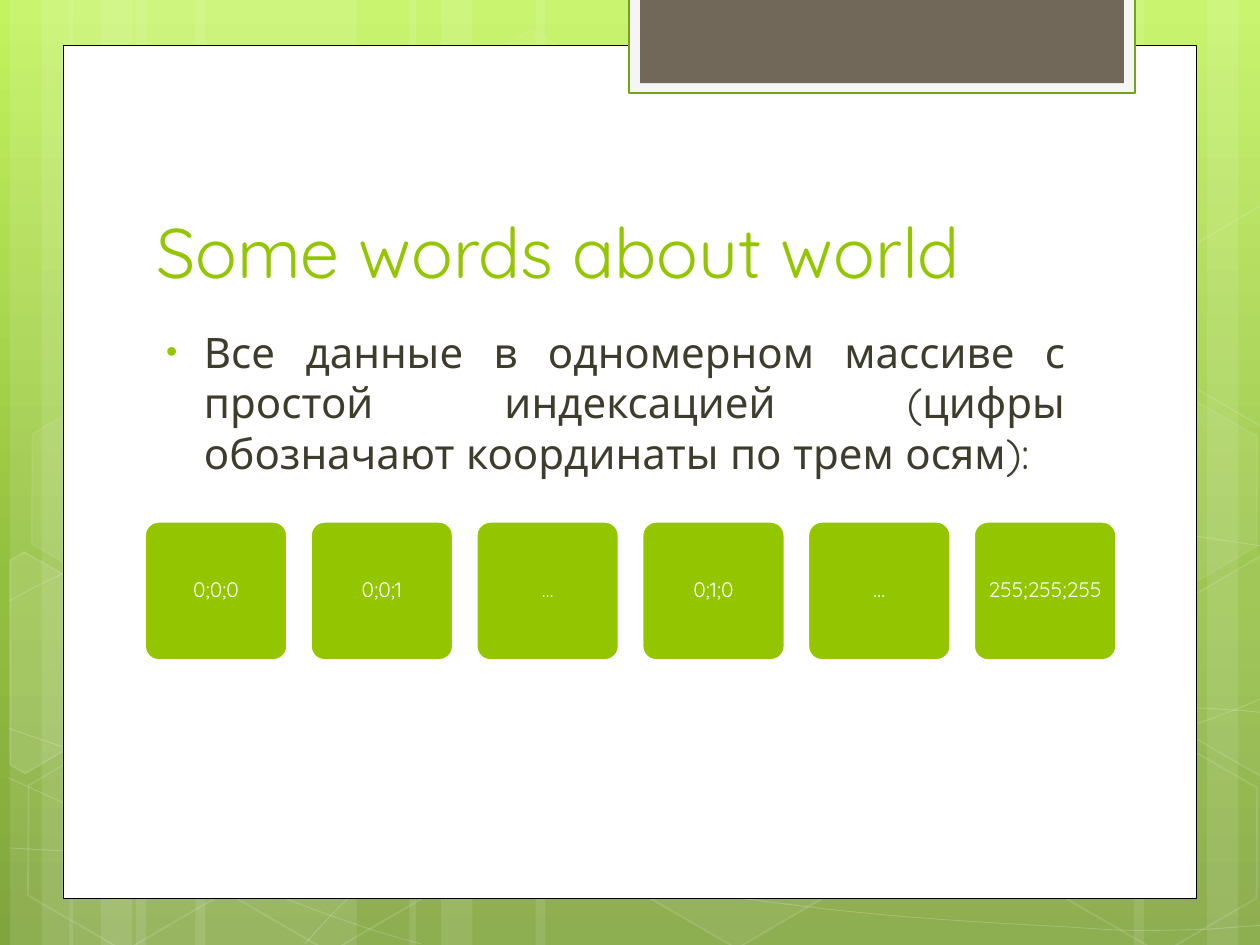
from lxml import etree
from pptx import Presentation
from pptx.dml.color import RGBColor
from pptx.enum.shapes import MSO_SHAPE
from pptx.enum.text import MSO_ANCHOR, PP_ALIGN
from pptx.oxml.ns import qn
from pptx.util import Inches, Pt

RECT = MSO_SHAPE.RECTANGLE
ROUND = MSO_SHAPE.ROUNDED_RECTANGLE
HEX = MSO_SHAPE.HEXAGON
MIDDLE = MSO_ANCHOR.MIDDLE
BOTTOM = MSO_ANCHOR.BOTTOM
LEFT = PP_ALIGN.LEFT
CENTER = PP_ALIGN.CENTER
JUSTIFY = PP_ALIGN.JUSTIFY
FONT = "Quicksand"
GREEN = "94C600"
WHITE = "FFFFFF"

SKY = [(0, "C3F35F"), (62, "93BF3F"), (100, "81A53E")]
STRIPES = [(1.08, 1.75), (0.08, 0.5), (0.33, 0.83), (1.55, 1.75),
           (0.55, 0.5), (0.8, 0.83), (7.33, 1.75), (9.58, 0.5),
           (9, 0.83), (4.25, 3.08), (3.25, 0.5), (3.5, 0.83)]
CURVES = [
    [(0.07, 6.73), (0.61, 6.76), (1.15, 6.79), (1.9, 6.78), (2.65, 6.77),
     (3.58, 6.75), (4.58, 6.65), (5.58, 6.55), (7, 6.36), (7.92, 6.17),
     (8.83, 5.98), (9.77, 5.68), (10.07, 5.51)],
    [(0.07, 4.77), (0.36, 4.61), (0.65, 4.46), (1.21, 4.31), (1.78, 4.16),
     (2.59, 3.94), (3.47, 3.87), (4.36, 3.8), (5.44, 3.79), (6.54, 3.87),
     (7.64, 3.95), (9.47, 4.26), (10.07, 4.34)],
    [(0.06, 6.17), (1.27, 6.72), (2.47, 7.27), (3.34, 7.49)],
    [(0.07, 5.78), (0.38, 5.89), (0.7, 6), (1.28, 6.16), (1.86, 6.31),
     (2.73, 6.56), (3.57, 6.73), (4.4, 6.9), (5.45, 7.08), (6.28, 7.18),
     (7.11, 7.29), (8, 7.33), (8.53, 7.36), (9.05, 7.4), (9.19, 7.38),
     (9.45, 7.38), (9.71, 7.37), (9.89, 7.35), (10.07, 7.34)],
    [(2.42, 7.49), (2.6, 7.29), (2.78, 7.09), (3.02, 6.91), (3.26, 6.73),
     (3.6, 6.53), (3.88, 6.39), (4.16, 6.25), (4.33, 6.19), (4.7, 6.09),
     (5.06, 5.99), (5.73, 5.85), (6.08, 5.78), (6.44, 5.71), (6.49, 5.71),
     (6.8, 5.69), (7.11, 5.66), (7.6, 5.63), (7.94, 5.62), (8.29, 5.61),
     (8.86, 5.62), (8.86, 5.62), (9.08, 5.62), (9.31, 5.62), (9.53, 5.62),
     (9.71, 5.63), (9.88, 5.64), (9.97, 5.65), (10.06, 5.66),
     (10.03, 5.65), (10.06, 5.66)],
]
HEXES = [(3.34, 0.36, 4, 8), (4.97, 5.89, 6, 12), (0.11, 5.91, 0, 12),
         (0.14, 3.12, 7, 8), (1.74, 5.92, 0, 12), (7.53, 4.53, 10, 12),
         (8.34, 5.93, 0, 12), (8.34, 3.14, 7, 8)]
CUTS = [
    ([(0.08, 4.45), (0.19, 4.38), (0.96, 4.82), (0.95, 5.7), (0.2, 6.14),
      (0.08, 6.07)], 10),
    ([(9.26, 4.85), (10.01, 4.41), (10.09, 4.46), (10.09, 6.13),
      (10.02, 6.17), (9.26, 5.73)], 4),
    ([(9.26, 2.07), (10.01, 1.63), (10.1, 1.68), (10.09, 3.35),
      (10.02, 3.39), (9.26, 2.95)], 0),
]
CELLS = ["0;0;0", "0;0;1", "…", "0;1;0", "…", "255;255;255"]
BODY = ("Все данные в одномерном массиве с простой индексацией "
        "(цифры обозначают координаты по трем осям):")


def color(code):
    return RGBColor.from_string(code)


def paint(fill, code, alpha=100):
    if not alpha:
        fill.background()
        return
    fill.solid()
    fill.fore_color.rgb = color(code)
    if alpha < 100:
        node = fill._xPr.find(qn("a:solidFill"))[0]
        etree.SubElement(node, qn("a:alpha"), val=str(alpha * 1000))


def style(shape, fill, alpha=100, line=None, width=1, fade=100):
    shape.shadow.inherit = False
    paint(shape.fill, fill, alpha)
    if line:
        shape.line.width = Pt(width)
        paint(shape.line.fill, line, fade)
    else:
        shape.line.fill.background()


def add_box(slide, kind, x, y, w, h, fill, **look):
    box = slide.shapes.add_shape(kind, Inches(x), Inches(y),
                                 Inches(w), Inches(h))
    style(box, fill, **look)
    return box


def add_path(slide, points, close, **look):
    spots = [(Inches(x), Inches(y)) for x, y in points]
    pen = slide.shapes.build_freeform(*spots[0])
    pen.add_line_segments(spots[1:], close=close)
    shape = pen.convert_to_shape()
    style(shape, WHITE, line=WHITE, **look)
    return shape


def bend(shape):
    lines = list(shape._element.iter(qn("a:lnTo")))
    for i in range(0, len(lines), 3):
        curve = etree.Element(qn("a:cubicBezTo"))
        lines[i].addprevious(curve)
        for line in lines[i:i + 3]:
            curve.append(line[0])
            line.getparent().remove(line)


def write(frame, text, size, code, align):
    frame.text = text
    frame.word_wrap = True
    para = frame.paragraphs[0]
    para.alignment = align
    font = para.runs[0].font
    font.name = FONT
    font.size = Pt(size)
    font.color.rgb = color(code)
    return para


def add_sky(slide):
    fill = slide.background.fill
    fill.gradient()
    fill.gradient_angle = 270
    stops = slide.background._cSld.find(".//" + qn("a:gsLst"))
    for stop in list(stops):
        stops.remove(stop)
    for spot, code in SKY:
        stop = etree.SubElement(stops, qn("a:gs"), pos=str(spot * 1000))
        etree.SubElement(stop, qn("a:srgbClr"), val=code)


def add_scene(slide):
    for x, w in STRIPES:
        add_box(slide, RECT, x, 0, w, 7.5, WHITE, alpha=10)
    for points in CURVES:
        bend(add_path(slide, points, False, alpha=0, width=0.5, fade=20))
    for x, y, alpha, fade in HEXES:
        cell = add_box(slide, HEX, x, y, 1.75, 1.52, WHITE,
                       alpha=alpha, line=WHITE, fade=fade)
        cell.adjustments[0] = 0.285
        cell.rotation = 30
    for points, alpha in CUTS:
        add_path(slide, points, True, alpha=alpha, fade=12)


def add_frame(slide):
    add_box(slide, RECT, 0.5, 0.36, 9, 6.77, WHITE, line="000000", width=0.5)
    add_box(slide, RECT, 4.99, -0.02, 4.02, 0.76, "F5F5F5",
            line="74A510", width=1.25)
    add_box(slide, RECT, 5.08, -0.02, 3.84, 0.68, "71685A")


def set_title(slide):
    title = slide.shapes.title
    title.left, title.top = Inches(1.14), Inches(1.12)
    title.width, title.height = Inches(7.68), Inches(1.25)
    write(title.text_frame, "Some words about world", 40, GREEN, LEFT)
    title.text_frame.vertical_anchor = BOTTOM
    slide.shapes._spTree.append(title._element)


def add_body(slide):
    box = slide.shapes.add_textbox(Inches(1.14), Inches(2.54),
                                   Inches(7.41), Inches(3.84))
    para = write(box.text_frame, BODY, 24, "3E3D2D", JUSTIFY)
    para.space_before = Pt(4.8)
    props = para._p.get_or_add_pPr()
    props.set("marL", str(Inches(0.38)))
    props.set("indent", str(Inches(-0.3)))
    tint = etree.SubElement(props, qn("a:buClr"))
    etree.SubElement(tint, qn("a:srgbClr"), val=GREEN)
    etree.SubElement(props, qn("a:buSzPct"), val="76000")
    etree.SubElement(props, qn("a:buFont"), typeface="Arial")
    etree.SubElement(props, qn("a:buChar"), char="•")


def add_cells(slide):
    for i, text in enumerate(CELLS):
        cell = add_box(slide, ROUND, 1.15 + i * 1.316, 4.14, 1.13, 1.1,
                       GREEN, line=WHITE, width=1.25)
        cell.adjustments[0] = 0.1
        frame = cell.text_frame
        frame.margin_left = frame.margin_right = Inches(0.05)
        frame.vertical_anchor = MIDDLE
        para = write(frame, text, 12, WHITE, CENTER)
        para.line_spacing = 0.9


def main():
    deck = Presentation()
    deck.slide_width, deck.slide_height = Inches(10), Inches(7.5)
    slide = deck.slides.add_slide(deck.slide_layouts[5])
    add_sky(slide)
    add_scene(slide)
    add_frame(slide)
    set_title(slide)
    add_body(slide)
    add_cells(slide)
    deck.save("out.pptx")


if __name__ == "__main__":
    main()
